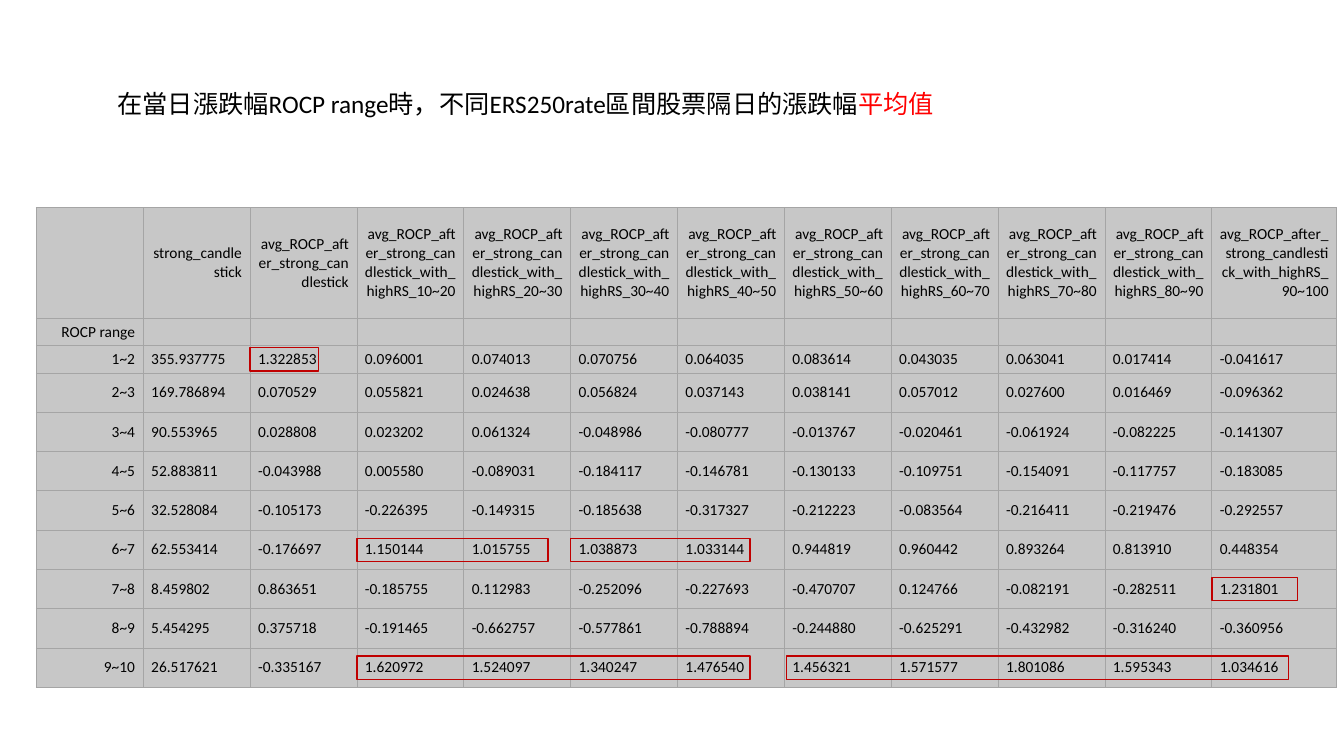
import dataclasses
import itertools

import lxml.etree
import pptx
import pptx.dml.color
import pptx.enum.shapes
import pptx.enum.text
import pptx.oxml.ns
import pptx.util


@dataclasses.dataclass(frozen=True)
class Theme:
    font: str = "Calibri"
    title_size: float = 18
    table_size: float = 11
    ink: str = "000000"
    emphasis: str = "FF0000"
    highlight: str = "C00000"
    cell_fill: str = "C7C7C7"
    cell_border: str = "A5A5A5"
    border_width: float = 0.5
    highlight_width: float = 1


SLIDE_WIDTH, SLIDE_HEIGHT = 13.33, 7.5
TABLE_LEFT, TABLE_TOP = 0.36, 2.06
COLUMN = 1.06
COLUMN_WIDTHS = [COLUMN] * 11 + [1.24]
ROW_HEIGHTS = [1.1, 0.27, 0.27] + [0.39] * 8
HIGHLIGHT_HEIGHT = 0.23

AVERAGE = "avg_ROCP_after_strong_candlestick"
HEADINGS = ["", "strong_candlestick", AVERAGE] + [
    f"{AVERAGE}_with_highRS_{low}~{low + 10}" for low in range(10, 100, 10)
]
AVERAGES = [
    "355.937775 1.322853 0.096001 0.074013 0.070756 0.064035 0.083614 0.043035 0.063041 0.017414 -0.041617",
    "169.786894 0.070529 0.055821 0.024638 0.056824 0.037143 0.038141 0.057012 0.027600 0.016469 -0.096362",
    "90.553965 0.028808 0.023202 0.061324 -0.048986 -0.080777 -0.013767 -0.020461 -0.061924 -0.082225 -0.141307",
    "52.883811 -0.043988 0.005580 -0.089031 -0.184117 -0.146781 -0.130133 -0.109751 -0.154091 -0.117757 -0.183085",
    "32.528084 -0.105173 -0.226395 -0.149315 -0.185638 -0.317327 -0.212223 -0.083564 -0.216411 -0.219476 -0.292557",
    "62.553414 -0.176697 1.150144 1.015755 1.038873 1.033144 0.944819 0.960442 0.893264 0.813910 0.448354",
    "8.459802 0.863651 -0.185755 0.112983 -0.252096 -0.227693 -0.470707 0.124766 -0.082191 -0.282511 1.231801",
    "5.454295 0.375718 -0.191465 -0.662757 -0.577861 -0.788894 -0.244880 -0.625291 -0.432982 -0.316240 -0.360956",
    "26.517621 -0.335167 1.620972 1.524097 1.340247 1.476540 1.456321 1.571577 1.801086 1.595343 1.034616",
]
RECORDS = [HEADINGS, ["ROCP range"] + [""] * 11] + [
    [f"{low}~{low + 1}"] + line.split() for low, line in enumerate(AVERAGES, 1)
]
HIGHLIGHTS = [
    (10, 3, 3.68),
    (10, 7.02, 4.7),
    (7, 3, 1.79),
    (7, 5, 1.68),
    (2, 2, 0.64),
    (8, 11, 0.8),
]


class RangeSlide:
    def __init__(self, presentation, theme):
        self.theme = theme
        self.slide = presentation.slides.add_slide(presentation.slide_layouts[6])
        self.row_tops = list(itertools.accumulate(ROW_HEIGHTS, initial=TABLE_TOP))

    def color(self, code):
        return pptx.dml.color.RGBColor.from_string(code)

    def style_text(self, paragraph, size):
        paragraph.font.name = self.theme.font
        paragraph.font.size = pptx.util.Pt(size)
        paragraph.font.color.rgb = self.color(self.theme.ink)

    def title(self, left, top, width, height, statement, measure):
        inches = pptx.util.Inches
        box = self.slide.shapes.add_textbox(
            inches(left * SLIDE_WIDTH), inches(top * SLIDE_HEIGHT),
            inches(width * SLIDE_WIDTH), inches(height * SLIDE_HEIGHT),
        )
        frame = box.text_frame
        frame.word_wrap = True
        frame.auto_size = pptx.enum.text.MSO_AUTO_SIZE.SHAPE_TO_FIT_TEXT
        paragraph = frame.paragraphs[0]
        self.style_text(paragraph, self.theme.title_size)
        paragraph.add_run().text = statement
        emphasis = paragraph.add_run()
        emphasis.text = measure
        emphasis.font.color.rgb = self.color(self.theme.emphasis)

    def border(self, cell):
        qn = pptx.oxml.ns.qn
        properties = cell._tc.get_or_add_tcPr()
        width = str(int(pptx.util.Pt(self.theme.border_width)))
        for side in ("a:lnL", "a:lnR", "a:lnT", "a:lnB"):
            line = lxml.etree.SubElement(properties, qn(side), w=width)
            fill = lxml.etree.SubElement(line, qn("a:solidFill"))
            lxml.etree.SubElement(fill, qn("a:srgbClr"), val=self.theme.cell_border)

    def fill_cell(self, cell, value, align_right):
        self.border(cell)
        cell.fill.solid()
        cell.fill.fore_color.rgb = self.color(self.theme.cell_fill)
        cell.margin_left = cell.margin_right = pptx.util.Inches(0.08)
        cell.margin_top = cell.margin_bottom = pptx.util.Inches(0.04)
        cell.vertical_anchor = pptx.enum.text.MSO_ANCHOR.MIDDLE
        paragraph = cell.text_frame.paragraphs[0]
        self.style_text(paragraph, self.theme.table_size)
        if align_right:
            paragraph.alignment = pptx.enum.text.PP_ALIGN.RIGHT
        if value:
            paragraph.add_run().text = value
        else:
            lxml.etree.SubElement(
                paragraph._p, pptx.oxml.ns.qn("a:endParaRPr"),
                sz=str(self.theme.table_size * 100),
            )

    def table(self, records):
        inches = pptx.util.Inches
        averages = self.slide.shapes.add_table(
            len(records), len(records[0]), inches(TABLE_LEFT), inches(TABLE_TOP),
            inches(sum(COLUMN_WIDTHS)), inches(sum(ROW_HEIGHTS)),
        ).table
        averages.first_row = averages.horz_banding = False
        for column, width in zip(averages.columns, COLUMN_WIDTHS):
            column.width = inches(width)
        for row, height in zip(averages.rows, ROW_HEIGHTS):
            row.height = inches(height)
        for row, record in enumerate(records):
            for column, value in enumerate(record):
                self.fill_cell(averages.cell(row, column), value, row == 0 or column == 0)

    def highlight(self, row, column, span):
        inches = pptx.util.Inches
        top = self.row_tops[row] + (ROW_HEIGHTS[row] - HIGHLIGHT_HEIGHT) / 2
        frame = self.slide.shapes.add_shape(
            pptx.enum.shapes.MSO_SHAPE.RECTANGLE,
            inches(TABLE_LEFT + column * COLUMN), inches(top),
            inches(span * COLUMN), inches(HIGHLIGHT_HEIGHT),
        )
        frame.shadow.inherit = False
        frame.fill.background()
        frame.line.color.rgb = self.color(self.theme.highlight)
        frame.line.width = pptx.util.Pt(self.theme.highlight_width)


def main():
    presentation = pptx.Presentation()
    presentation.slide_width = pptx.util.Inches(SLIDE_WIDTH)
    presentation.slide_height = pptx.util.Inches(SLIDE_HEIGHT)
    slide = RangeSlide(presentation, Theme())
    slide.table(RECORDS)
    slide.title(
        0.08, 0.11, 0.63, 0.05,
        "在當日漲跌幅ROCP range時，不同ERS250rate區間股票隔日的漲跌幅", "平均值",
    )
    for row, column, span in HIGHLIGHTS:
        slide.highlight(row, column, span)
    presentation.save("out.pptx")


if __name__ == "__main__":
    main()
